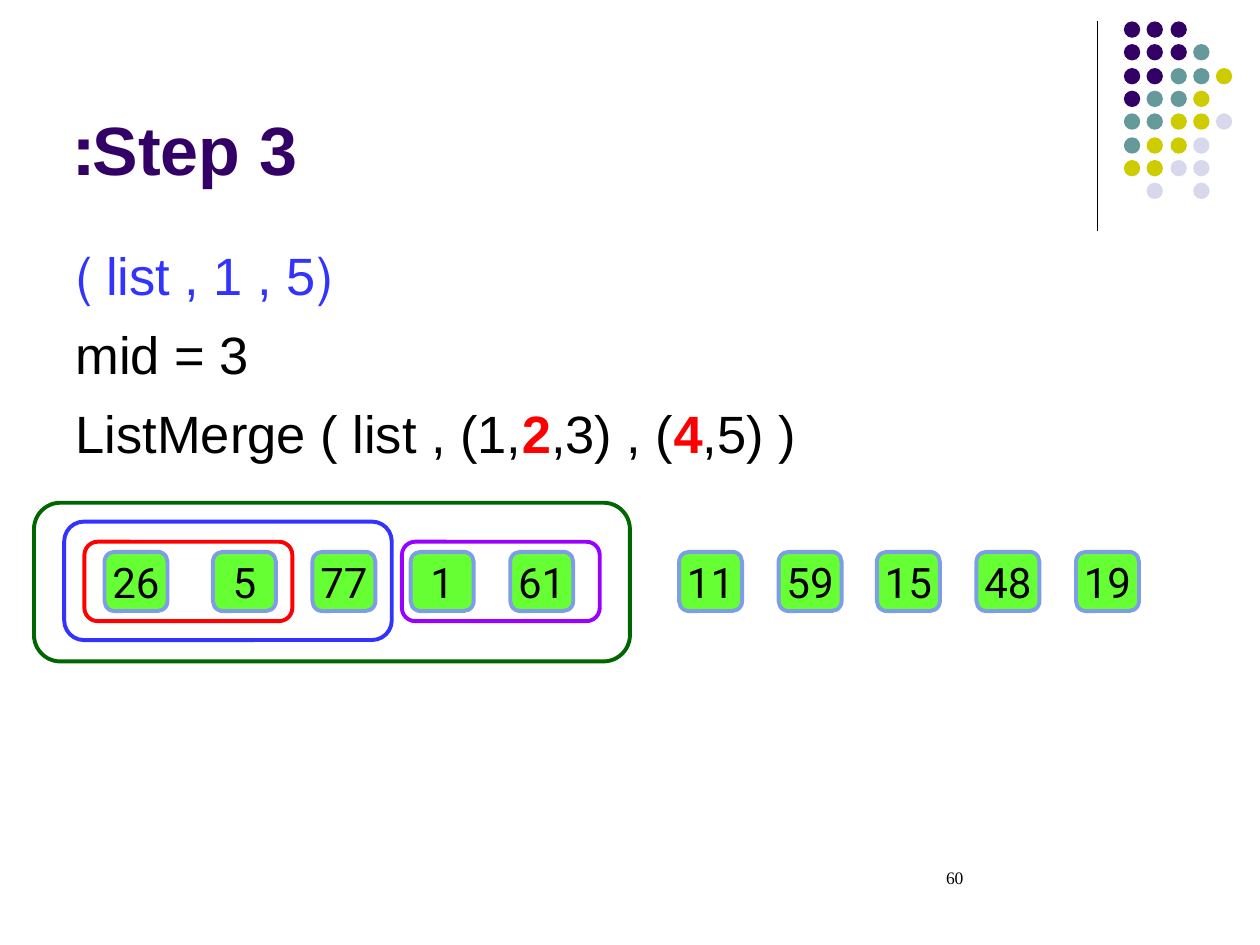
import pptx
import pptx.dml.color
import pptx.enum.shapes
import pptx.enum.text
import pptx.oxml.ns
import pptx.util
from lxml import etree

PX = 9144
COLORS = {
    "purple": "330066", "teal": "669999", "olive": "CCCC00", "pale": "D8D8EC",
    "black": "000000", "blue": "3333FF", "red": "FF0000", "violet": "9900FF",
    "forest": "006600", "green": "66FF33", "edge": "7E9CE8",
}
DOT_COLORS = {"P": "purple", "T": "teal", "O": "olive", "L": "pale"}
DOT_ROWS = ["PPP", "PPPT", "PPTTO", "PTTO", "TTOOL", "TOOL", "OOLL", " L L"]
CELL_RUNS = [(83, 0, [26]), (169, 78.75, [5, 77, 1, 61]),
             (539, 78.75, [11, 59, 15, 48, 19])]
FRAMES = [
    (67, 430, 165, 63, "red"),
    (51, 414, 260, 94, "blue"),
    (319, 430, 157, 63, "violet"),
    (27, 399, 473, 126, "forest"),
]
SHAPES = pptx.enum.shapes.MSO_SHAPE
ALIGN = pptx.enum.text.PP_ALIGN
ANCHOR = pptx.enum.text.MSO_ANCHOR


def rgb(name):
    return pptx.dml.color.RGBColor.from_string(COLORS[name])


def emu(*lengths):
    return [length * PX for length in lengths]


def add_run(p, text, size=30, color="black", font="Arial", bold=False):
    r = p.add_run()
    r.text = text
    r.font.size = pptx.util.Pt(size)
    r.font.name = font
    r.font.bold = bold
    r.font.color.rgb = rgb(color)


class Deck:
    def __init__(self, prs):
        self.s = prs.slides.add_slide(prs.slide_layouts[1])

    def line(self, x1, y1, x2, y2, color="black", width=0.75):
        sp = self.s.shapes.add_connector(
            pptx.enum.shapes.MSO_CONNECTOR.STRAIGHT, *emu(x1, y1, x2, y2))
        sp.line.color.rgb = rgb(color)
        sp.line.width = pptx.util.Pt(width)
        etree.SubElement(sp._element.spPr, pptx.oxml.ns.qn("a:effectLst"))

    def shape(self, kind, x, y, w, h, fill=None, line=None):
        sp = self.s.shapes.add_shape(kind, *emu(x, y, w, h))
        sp.shadow.inherit = False
        if fill:
            sp.fill.solid()
            sp.fill.fore_color.rgb = rgb(fill)
        else:
            sp.fill.background()
        if line:
            sp.line.color.rgb = rgb(line)
            sp.line.width = pptx.util.Pt(2.25)
        else:
            sp.line.fill.background()
        return sp

    def cell(self, x, text):
        sp = self.shape(SHAPES.ROUNDED_RECTANGLE, x, 438, 50, 47, "green", "edge")
        tf = sp.text_frame
        tf.word_wrap = False
        tf.vertical_anchor = ANCHOR.MIDDLE
        p = tf.paragraphs[0]
        p.alignment = ALIGN.CENTER
        add_run(p, text, size=24, font="Roboto")

    def placeholder(self, sp, box, anchor, paragraphs):
        sp.left, sp.top, sp.width, sp.height = emu(*box)
        tf = sp.text_frame
        tf.auto_size = pptx.enum.text.MSO_AUTO_SIZE.NONE
        tf.vertical_anchor = anchor
        for i, runs in enumerate(paragraphs):
            p = tf.add_paragraph() if i else tf.paragraphs[0]
            p.alignment = ALIGN.LEFT
            p.space_before = pptx.util.Pt(9 if i else 0)
            pPr = p._p.get_or_add_pPr()
            for key, value in (("rtl", "1"), ("marL", "0"), ("indent", "0")):
                pPr.set(key, value)
            etree.SubElement(pPr, pptx.oxml.ns.qn("a:buNone"))
            for text, style in runs:
                add_run(p, text, **style)

    def label(self, x, y, w, h, text, **style):
        tf = self.s.shapes.add_textbox(*emu(x, y, w, h)).text_frame
        tf.word_wrap = True
        add_run(tf.paragraphs[0], text, **style)


def main():
    prs = pptx.Presentation()
    prs.slide_width, prs.slide_height = emu(1000, 750)
    deck = Deck(prs)

    deck.line(871, 17, 871, 183)
    for row, codes in enumerate(DOT_ROWS):
        for col, code in enumerate(codes):
            if code in DOT_COLORS:
                deck.shape(SHAPES.OVAL, round(892 + col * 18.33),
                           round(17 + row * 18.33), 13, 13, DOT_COLORS[code])

    title, body = deck.s.placeholders
    deck.placeholder(title, (50, 13, 825, 142), ANCHOR.BOTTOM, [
        [("Step 3:", dict(size=39, color="purple", bold=True))],
    ])
    marked = dict(color="red", bold=True)
    deck.placeholder(body, (50, 188, 900, 482), ANCHOR.TOP, [
        [("(list , 1 , 5 )", dict(color="blue"))],
        [("mid = 3", {})],
        [("ListMerge ( list , (1,", {}), ("2", marked), (",3) , (", {}),
         ("4", marked), (",5) )", {})],
    ])

    for start, step, values in CELL_RUNS:
        for i, value in enumerate(values):
            deck.cell(round(start + i * step), str(value))
    for x, y, w, h, color in FRAMES:
        deck.shape(SHAPES.ROUNDED_RECTANGLE, x, y, w, h, line=color)

    deck.label(741, 683, 209, 50, "60", size=10, font="Times New Roman")
    prs.save("out.pptx")


if __name__ == "__main__":
    main()
